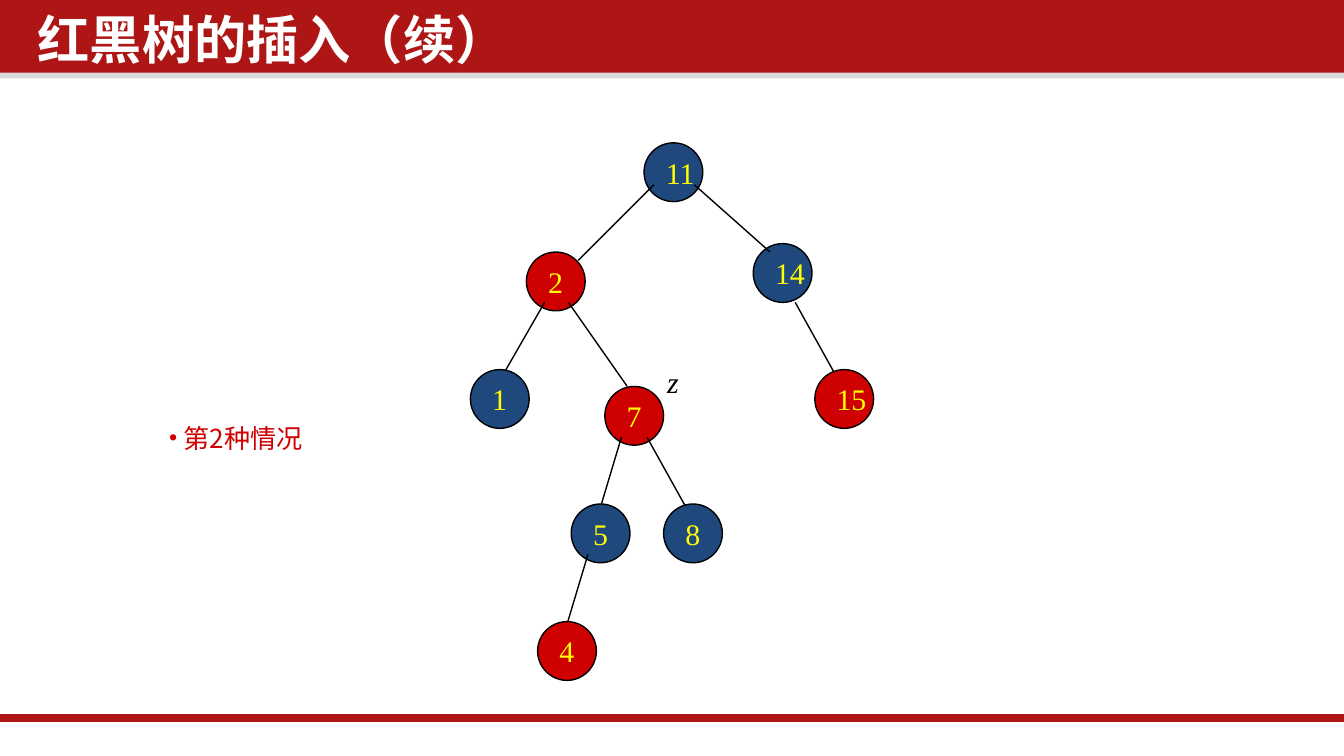
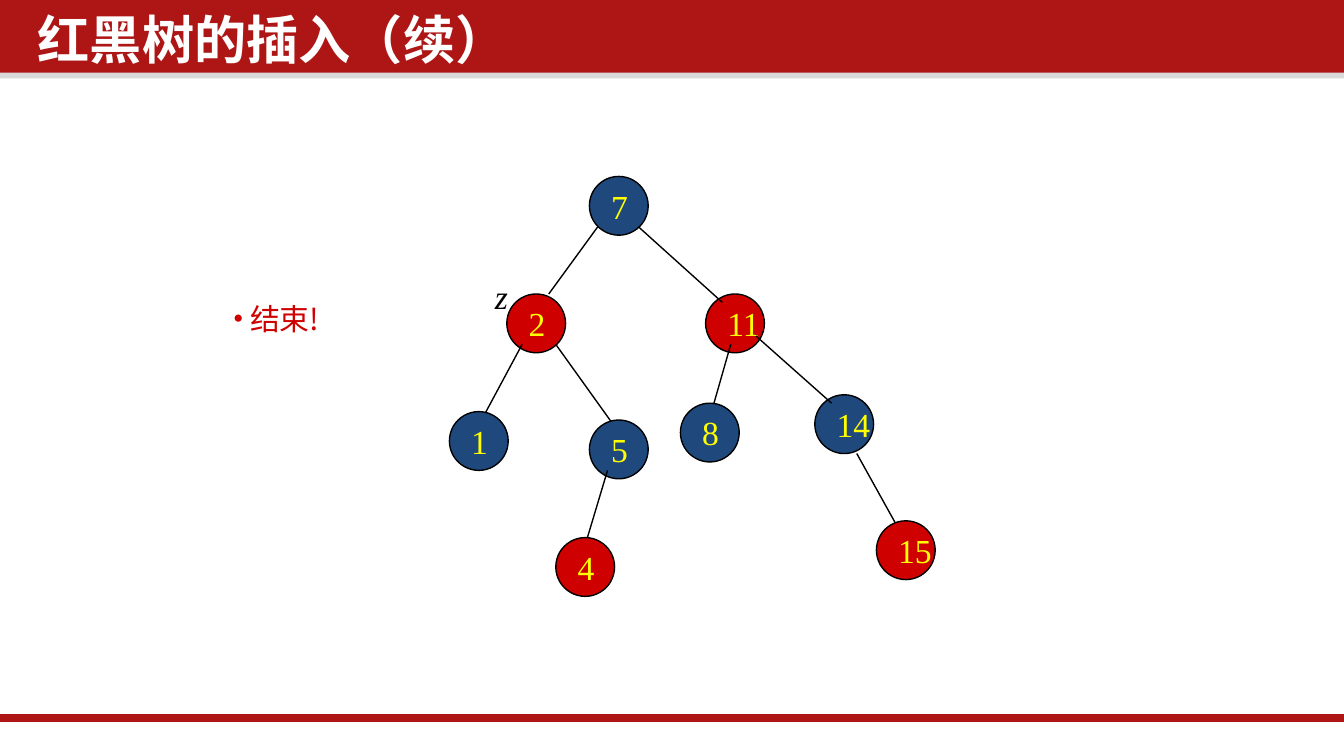
from dataclasses import dataclass

from lxml.etree import SubElement
from pptx import Presentation
from pptx.dml.color import RGBColor
from pptx.enum.shapes import MSO_CONNECTOR, MSO_SHAPE
from pptx.enum.text import MSO_ANCHOR, MSO_AUTO_SIZE, PP_ALIGN
from pptx.oxml.ns import qn
from pptx.util import Pt

PX = 9525  # 96 px to the inch
WIDTH, HEIGHT = 960, 540
NODE_SIZE = 42


@dataclass(frozen=True)
class Theme:
    band: str = "AE1616"
    band_edge: str = "D9D9D9"
    red: str = "CE0000"
    black: str = "1F497D"  # black tree nodes are shown in navy
    key: str = "FFFF00"
    ink: str = "000000"
    title: str = "FFFFFF"
    title_size: int = 28
    edge_width: float = 0.75
    footer_width: float = 4
    chinese: str = "Noto Sans CJK SC"
    latin: str = "Times New Roman"


theme = Theme()
RED, BLACK = theme.red, theme.black

# Upper nodes lie below their edges; each lower node covers the end of its edge.
# Node: key, left, top, colour. Edge: from x, from y, to x, to y.
trees = [
    {
        "key_size": 16,
        "upper_nodes": [("7", 432, 276, RED), ("11", 460, 102, BLACK),
                        ("2", 376, 180, RED), ("14", 538, 174, BLACK)],
        "upper_edges": [(467, 132, 413, 186), (496, 132, 550, 180),
                        (406, 216, 448, 276)],
        "lower": [
            (("1", 336, 264, BLACK), (389, 216, 358, 270)),
            (("5", 408, 360, BLACK), (444, 312, 426, 372)),
            (("8", 474, 360, BLACK), (462, 312, 492, 366)),
            (("15", 582, 264, RED), (568, 216, 598, 270)),
            (("4", 384, 444, RED), (420, 396, 402, 456)),
        ],
        "remark": (" 第2种情况", 14, (111, 297, 120, 33)),
        "z_box": (467, 255, 28, 36),
    },
    {
        "key_size": 18,
        "upper_nodes": [("7", 421, 126, BLACK), ("11", 504, 210, RED),
                        ("2", 362, 210, RED), ("14", 582, 282, BLACK)],
        "upper_edges": [(540, 240, 594, 288), (427, 162, 392, 210),
                        (456, 162, 516, 216)],
        "lower": [
            (("1", 321, 294, BLACK), (373, 246, 344, 300)),
            (("5", 421, 300, BLACK), (397, 246, 440, 306)),
            (("8", 486, 288, BLACK), (522, 246, 510, 288)),
            (("15", 626, 372, RED), (612, 324, 642, 378)),
            (("4", 397, 384, RED), (434, 336, 416, 396)),
        ],
        "remark": (" 结束!", 16, (157, 210, 85, 36)),
        "z_box": (344, 192, 29, 38),
    },
]


def write(holder, text, font_name, size, color):
    """Put one left-aligned line of text into a shape."""
    frame = holder.text_frame
    frame.text = text
    paragraph = frame.paragraphs[0]
    paragraph.alignment = PP_ALIGN.LEFT
    run = paragraph.runs[0]
    run.font.name = font_name
    run.font.size = Pt(size)
    run.font.color.rgb = RGBColor.from_string(color)
    SubElement(run.font._element, qn("a:ea"), typeface=font_name)
    return paragraph


def draw_line(slide, ends, color, width):
    line = slide.shapes.add_connector(
        MSO_CONNECTOR.STRAIGHT, *[value * PX for value in ends])
    line.line.color.rgb = RGBColor.from_string(color)
    line.line.width = Pt(width)
    SubElement(line._element.spPr, qn("a:effectLst"))


deck = Presentation()
deck.slide_width, deck.slide_height = WIDTH * PX, HEIGHT * PX

for tree in trees:
    slide = deck.slides.add_slide(deck.slide_layouts[5])

    # Header bands and footer rule
    for top, height, color in ((48, 8, theme.band_edge), (0, 52, theme.band)):
        band = slide.shapes.add_shape(
            MSO_SHAPE.RECTANGLE, 0, top * PX, WIDTH * PX, height * PX)
        band.shadow.inherit = False
        band.fill.solid()
        band.fill.fore_color.rgb = RGBColor.from_string(color)
        band.line.fill.background()
    draw_line(slide, (-2, 513, WIDTH, 513), theme.band, theme.footer_width)

    # Tree: None stands for a step without a node or without an edge
    steps = [(node, None) for node in tree["upper_nodes"]]
    steps += [(None, edge) for edge in tree["upper_edges"]]
    steps += tree["lower"]
    for node, edge in steps:
        if edge:
            draw_line(slide, edge, theme.ink, theme.edge_width)
        if node:
            key, left, top, color = node
            circle = slide.shapes.add_shape(
                MSO_SHAPE.OVAL, left * PX, top * PX, NODE_SIZE * PX, NODE_SIZE * PX)
            circle.shadow.inherit = False
            circle.fill.solid()
            circle.fill.fore_color.rgb = RGBColor.from_string(color)
            circle.line.color.rgb = RGBColor.from_string(theme.ink)
            circle.line.width = Pt(theme.edge_width)
            circle.text_frame.word_wrap = False
            circle.text_frame.vertical_anchor = MSO_ANCHOR.MIDDLE
            write(circle, key, theme.latin, tree["key_size"], theme.key)

    # Bulleted remark and the z marker
    remark_text, remark_size, remark_box = tree["remark"]
    remark = slide.shapes.add_textbox(*[value * PX for value in remark_box])
    marker = slide.shapes.add_textbox(*[value * PX for value in tree["z_box"]])
    for label in (remark, marker):
        label.text_frame.word_wrap = False
        label.text_frame.auto_size = MSO_AUTO_SIZE.SHAPE_TO_FIT_TEXT
    bulleted = write(remark, remark_text, theme.chinese, remark_size, theme.red)
    bullet = bulleted._p.get_or_add_pPr()
    SubElement(bullet, qn("a:buFont"), typeface=theme.latin)
    SubElement(bullet, qn("a:buChar"), char="•")
    z = write(marker, "z", theme.latin, tree["key_size"], theme.ink)
    z.runs[0].font.italic = True

    # Title, brought in front of the bands
    title = slide.shapes.title
    title.left, title.top, title.width, title.height = [
        value * PX for value in (20, 6, 733, 57)]
    frame = title.text_frame
    frame.word_wrap = True
    frame.auto_size = MSO_AUTO_SIZE.NONE
    frame.vertical_anchor = MSO_ANCHOR.TOP
    frame.margin_left = frame.margin_right = 7 * PX
    frame.margin_top = frame.margin_bottom = 4 * PX
    heading = write(title, "红黑树的插入（续）", theme.chinese, theme.title_size, theme.title)
    heading.line_spacing = 0.9
    heading.space_before = Pt(7.5)
    heading.runs[0].font.bold = True
    slide.shapes._spTree.append(title._element)

deck.save("out.pptx")
